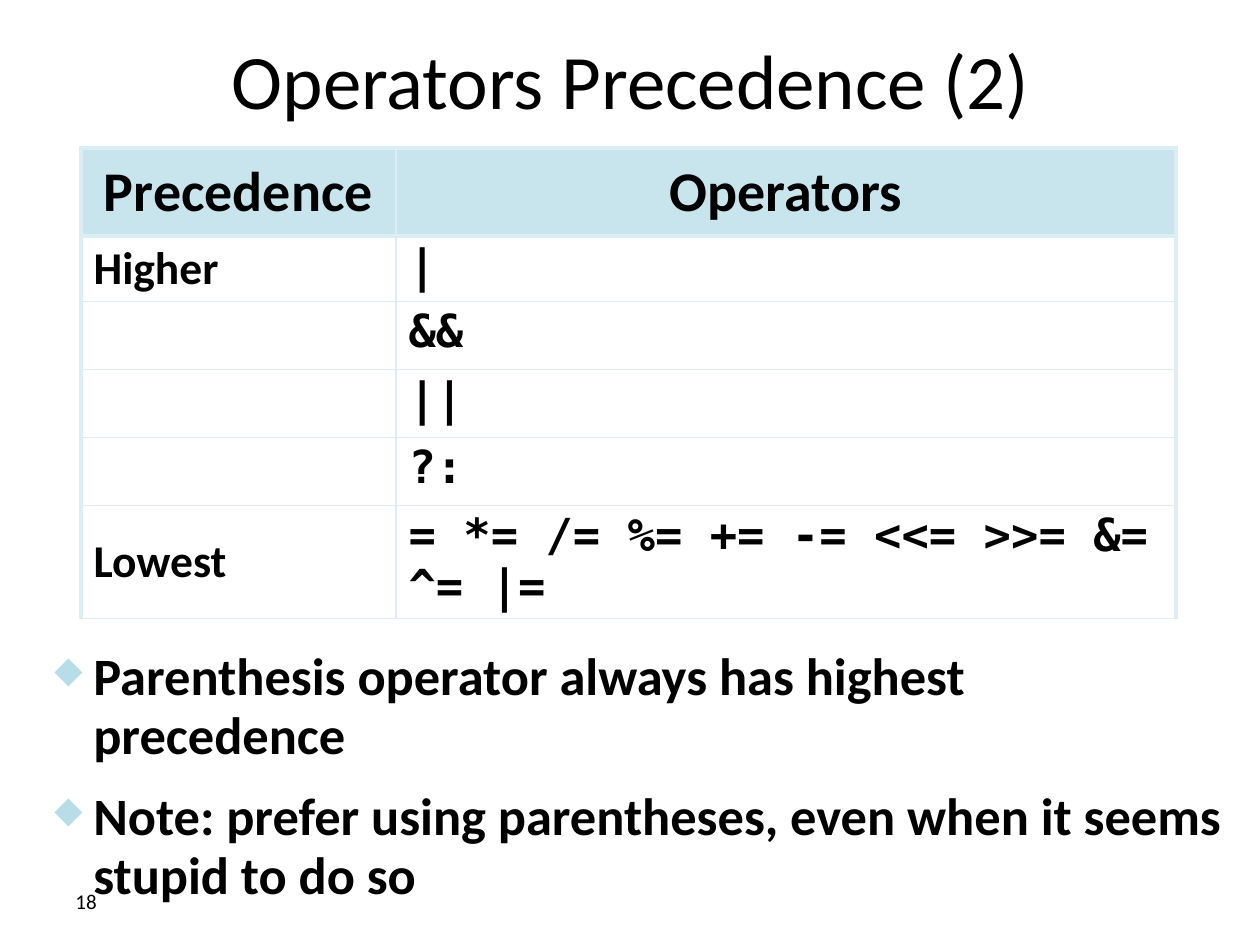
from lxml import etree
from pptx import Presentation
from pptx.dml.color import RGBColor
from pptx.enum.text import MSO_ANCHOR, PP_ALIGN
from pptx.oxml import parse_xml
from pptx.oxml.ns import nsdecls, qn
from pptx.util import Pt

MID, TOP = MSO_ANCHOR.MIDDLE, MSO_ANCHOR.TOP
LEFT, MIDDLE = PP_ALIGN.LEFT, PP_ALIGN.CENTER
SANS, MONO = "Calibri", "DejaVu Sans Mono"
HEX = {"text": "000000", "head": "93CDDD", "rule": "DBEEF4", "mark": "B7DEE8"}
SCALE = 914400 / 126


def px(*vals):
    """Turn pixel lengths into a list of EMU values."""
    return [round(v * SCALE) for v in vals]


def write(para, text, size, face=SANS, bold=False):
    run = para.add_run()
    run.text = text
    run.font.size = Pt(size)
    run.font.name = face
    run.font.bold = bold
    run.font.color.rgb = RGBColor.from_string(HEX["text"])


prs = Presentation()
prs.slide_width, prs.slide_height = px(1260, 945)
slide = prs.slides.add_slide(prs.slide_layouts[5])

# Title
title = slide.shapes.title
title.left, title.top, title.width, title.height = px(64, 0, 1134, 158)
title.text_frame.vertical_anchor = MID
para = title.text_frame.paragraphs[0]
para.alignment = MIDDLE
write(para, "Operators Precedence (2)", 44)

# Precedence table
rows = [
    ("Precedence", "Operators"),
    ("Higher", "|"),
    ("", "&&"),
    ("", "||"),
    ("", "?:"),
    ("Lowest", "= *= /= %= += -= <<= >>= &= ^= |="),
]
highs = px(88, 65, 68, 68, 68, 113)
wides = px(315, 780)
frame = slide.shapes.add_table(len(rows), 2, *px(81, 148, 1095, 470))
table = frame.table
table.first_row = table.horz_banding = False
for col, wide in zip(table.columns, wides):
    col.width = wide

for r, row in enumerate(rows):
    table.rows[r].height = highs[r]
    for c, text in enumerate(row):
        cell = table.cell(r, c)
        head = r == 0
        cell.vertical_anchor = MID if head or c == 0 else TOP
        para = cell.text_frame.paragraphs[0]
        para.alignment = MIDDLE if head else LEFT
        para.line_spacing = 0.95
        if text:
            face = MONO if c and not head else SANS
            write(para, text, 32 if head else 26, face, True)

        if head:
            cell.fill.solid()
            cell.fill.fore_color.rgb = RGBColor.from_string(HEX["head"])
            tint = cell.fill._xPr.find(".//" + qn("a:srgbClr"))
            etree.SubElement(tint, qn("a:alpha"), val="50000")
        else:
            cell.fill.background()

        # Heavy rules frame the table and close the header row
        heavy = {"L": c == 0, "R": c == 1, "T": r < 2, "B": head}
        props = cell._tc.get_or_add_tcPr()
        for i, (side, thick) in enumerate(heavy.items()):
            width = Pt(2.25 if thick else 1)
            props.insert(i, parse_xml(
                f'<a:ln{side} {nsdecls("a")} w="{width}"><a:solidFill>'
                f'<a:srgbClr val="{HEX["rule"]}"/></a:solidFill></a:ln{side}>'))

# Slide number
box = slide.shapes.add_textbox(*px(63, 876, 294, 50))
box.text_frame.word_wrap = True
box.text_frame.vertical_anchor = MID
write(box.text_frame.paragraphs[0], "18", 12)

# Bulleted notes
notes = [
    "Parenthesis operator always has highest precedence",
    "Note: prefer using parentheses, even when it seems stupid to do so",
]
box = slide.shapes.add_textbox(*px(42, 640, 1197, 284))
body = box.text_frame
body.word_wrap = True
dent = px(39)[0]
for i, text in enumerate(notes):
    para = body.add_paragraph() if i else body.paragraphs[0]
    para.line_spacing = Pt(34)
    para.space_before = Pt(6 if i else 0)
    para.space_after = Pt(6)
    props = para._p.get_or_add_pPr()
    props.set("marL", str(dent))
    props.set("indent", str(-dent))
    tone = etree.SubElement(props, qn("a:buClr"))
    etree.SubElement(tone, qn("a:srgbClr"), val=HEX["mark"])
    etree.SubElement(props, qn("a:buSzPct"), val="70000")
    etree.SubElement(props, qn("a:buChar"), char="◆")
    tabs = etree.SubElement(props, qn("a:tabLst"))
    etree.SubElement(tabs, qn("a:tab"), pos=str(dent), algn="l")
    write(para, text, 30, bold=True)

prs.save("out.pptx")
